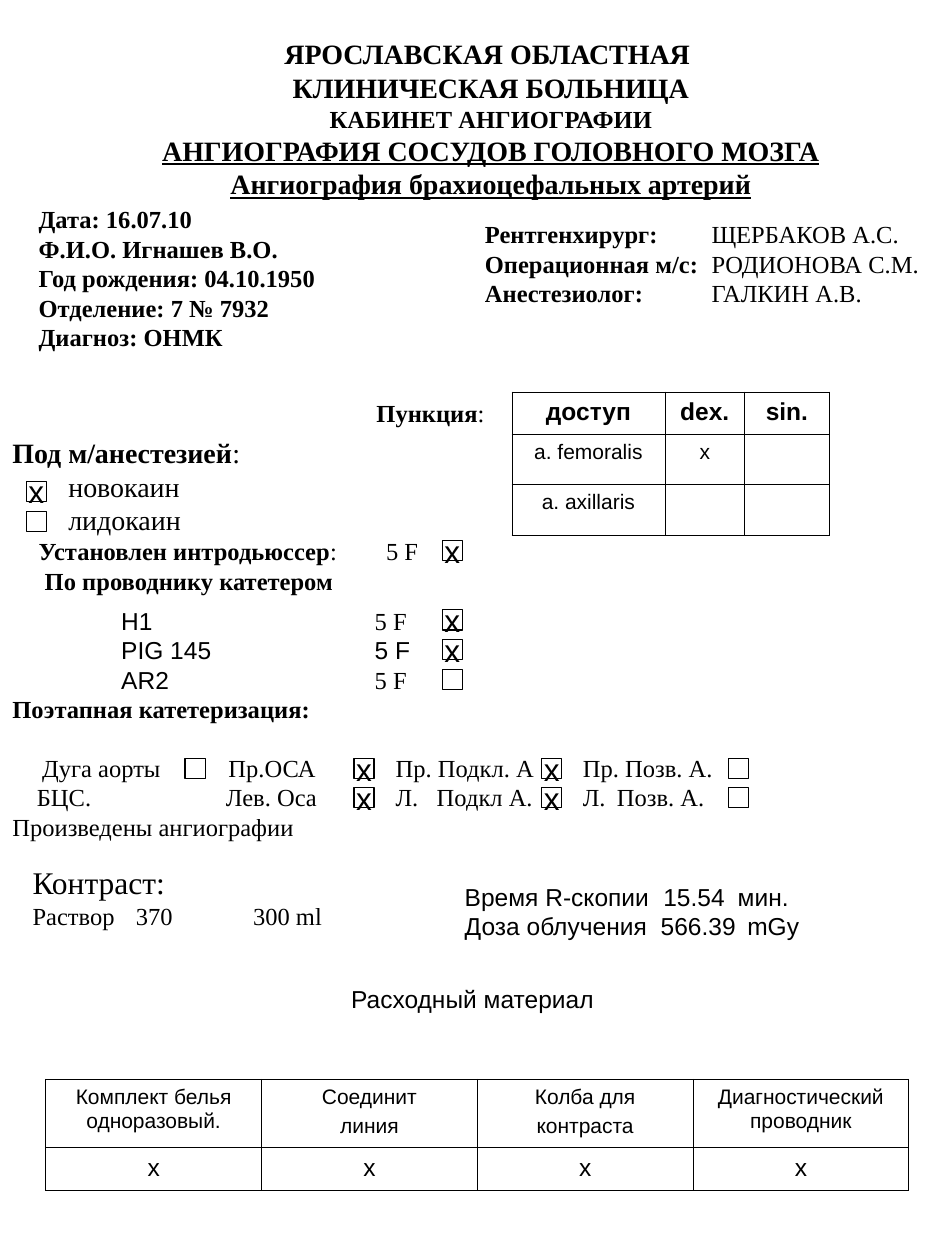
from dataclasses import dataclass

from lxml import etree
from pptx import Presentation
from pptx import util as u
from pptx.dml import color
from pptx.enum import shapes, text
from pptx.oxml import ns

Pt = u.Pt


@dataclass(frozen=True)
class Theme:
    ink: color.RGBColor = color.RGBColor(0, 0, 0)
    serif: str = "Times New Roman"
    sans: str = "Arial"
    cell: int = 12
    body: int = 14
    head: int = 16
    large: int = 18
    lead: float = 1.2
    rule: float = 0.45


T = Theme()
MID = text.MSO_ANCHOR.MIDDLE
CENTER = text.PP_ALIGN.CENTER
BOLD = {"bold": True}
SANS = {"name": T.sans}
HEAD = {"size": Pt(T.head)}


class Form:
    def __init__(self, slide):
        self.slide = slide

    def line(self, para, runs, size, tabs=(), gap=0, align=None, lead=True, **fmt):
        """Fill one paragraph; runs is a string or a list of (text, format)."""
        if tabs:
            stops = etree.SubElement(para._p.get_or_add_pPr(), ns.qn("a:tabLst"))
            for pos in tabs:
                etree.SubElement(stops, ns.qn("a:tab"), pos=str(Pt(pos)), algn="l")
        if lead:
            para.line_spacing = Pt(round(size * T.lead, 1))
        if gap:
            para.space_before = Pt(gap)
        para.alignment = align
        for words, extra in [(runs, {})] if isinstance(runs, str) else runs:
            run = para.add_run()
            run.text = words
            look = {"name": T.serif, "size": Pt(size), "bold": False, **fmt, **extra}
            for key, val in look.items():
                setattr(run.font, key, val)
            run.font.color.rgb = T.ink

    def block(self, x, y, w, h, rows, anchor=text.MSO_ANCHOR.TOP, **base):
        """Text box; each row is (runs, options)."""
        frame = self.slide.shapes.add_textbox(Pt(x), Pt(y), Pt(w), Pt(h)).text_frame
        frame.word_wrap = True
        frame.vertical_anchor = anchor
        for i, (runs, opts) in enumerate(rows):
            para = frame.add_paragraph() if i else frame.paragraphs[0]
            self.line(para, runs, **{"size": T.body, **base, **opts})

    def check(self, x, y, on):
        box = self.slide.shapes.add_shape(
            shapes.MSO_SHAPE.RECTANGLE, Pt(x), Pt(y), Pt(11.5), Pt(11.5))
        box.shadow.inherit = False
        box.fill.background()
        box.line.color.rgb = T.ink
        box.line.width = Pt(0.75)
        if on:
            frame = box.text_frame
            frame.word_wrap = False
            frame.vertical_anchor = MID
            self.line(frame.paragraphs[0], "х", T.large, align=CENTER, name=T.sans)

    def border(self, cell):
        props = cell._tc.get_or_add_tcPr()
        for i, side in enumerate(("lnL", "lnR", "lnT", "lnB")):
            edge = etree.Element(ns.qn("a:" + side), w=str(Pt(T.rule)))
            fill = etree.SubElement(edge, ns.qn("a:solidFill"))
            etree.SubElement(fill, ns.qn("a:srgbClr"), val=str(T.ink))
            props.insert(i, edge)

    def grid(self, x, y, cols, rows, data, styles):
        """Table; styles holds one text format for each row."""
        tbl = self.slide.shapes.add_table(
            len(rows), len(cols), Pt(x), Pt(y), Pt(sum(cols)), Pt(sum(rows))).table
        tbl.first_row = tbl.horz_banding = False
        for col, w in zip(tbl.columns, cols):
            col.width = Pt(w)
        for r, (h, vals) in enumerate(zip(rows, data)):
            tbl.rows[r].height = Pt(h)
            for c, val in enumerate(vals):
                cell = tbl.cell(r, c)
                cell.fill.background()
                self.border(cell)
                for i, part in enumerate(val.split("\n") if val else ()):
                    para = cell.text_frame.add_paragraph() if i else cell.text_frame.paragraphs[0]
                    self.line(para, part, gap=3 if i else 0, align=CENTER,
                              lead=False, name=T.sans, **styles[r])


def main():
    deck = Presentation()
    deck.slide_width, deck.slide_height = Pt(540), Pt(720)
    form = Form(deck.slides.add_slide(deck.slide_layouts[6]))

    # Title
    under = {**HEAD, "underline": True}
    form.block(37.5, 14.4, 486, 106.5, [
        ([("ЯРОСЛАВСКАЯ ОБЛАСТНАЯ ", {})], {"size": T.head}),
        ("КЛИНИЧЕСКАЯ БОЛЬНИЦА", {"size": T.head}),
        ("КАБИНЕТ АНГИОГРАФИИ", {}),
        ([("АНГИОГРАФИЯ СОСУДОВ ГОЛОВНОГО МОЗГА", under)], {"size": T.head}),
        ([("Ангиография брахиоцефальных артерий", under)], {"size": T.head}),
    ], anchor=MID, align=CENTER, bold=True)

    # Patient and team
    facts = ("Дата: 16.07.10", "Ф.И.О. Игнашев В.О.", "Год рождения: 04.10.1950",
             "Отделение: 7 № 7932", "Диагноз: ОНМК")
    form.block(15, 99.4, 238, 118.8, [(fact, {}) for fact in facts], anchor=MID, bold=True)
    team = (("Рентгенхирург:", "ЩЕРБАКОВ А.С."), ("Операционная м/с:", "РОДИОНОВА С.М."),
            ("Анестезиолог:", "ГАЛКИН А.В."))
    form.block(270, 121.7, 270, 57.6,
               [([(role, BOLD), ("\t" + who, {})], {"tabs": [129.5]}) for role, who in team])

    # Anaesthesia and puncture
    form.block(0, 245.4, 200, 65, [
        ([("Под м/анестезией", BOLD), (":", {})], {}),
        ("\tновокаин", {"tabs": [32]}),
        ("\tлидокаин", {"tabs": [32]}),
    ], size=T.head)
    form.block(208, 224, 84, 24, [([("Пункция", BOLD), (":", {})], {})])
    form.grid(292.5, 224, [87.5, 45.5, 48.4], [24, 28.8, 28.8],
              [["доступ", "dex.", "sin."], ["a. femoralis", "х", ""], ["a. axillaris", "", ""]],
              [{"size": T.body, "bold": True}, {"size": T.cell}, {"size": T.cell}])

    # Introducer and catheters
    form.block(15, 303, 455, 41, [
        ([("Установлен интродьюссер", BOLD), (":\t5 F", {})], {"tabs": [198.5]}),
        ([("\tПо проводнику катетером", BOLD)], {"tabs": [3.5]}),
    ])
    tubes = (("H1", {}), ("РIG 145", SANS), ("AR2", {}))
    tips = [([("\t" + tube, SANS), ("\t5 F", look)], {"tabs": [62.2, 207]})
            for tube, look in tubes]

    # Stepwise catheterization
    form.block(0, 342.7, 540, 158, tips + [
        ([("Поэтапная катетеризация:", BOLD)], {}),
        ("\tДуга аорты\tПр.ОСА\tПр. Подкл. А\tПр. Позв. А.",
         {"tabs": [17, 123.5, 219, 326], "gap": 16.8}),
        ("\tБЦС.\tЛев. Оса\tЛ.\tПодкл А.\tЛ.\tПозв. А.",
         {"tabs": [14, 122, 219, 242.5, 326, 345.5]}),
        ("Произведены ангиографии", {}),
    ])

    # Contrast, exposure and supplies
    form.block(11.5, 489.6, 250, 46, [
        ("Контраст:", {"size": T.large}),
        ("Раствор\t370\t300 ml", {"tabs": [59, 126]}),
    ])
    form.block(258.5, 500.4, 225, 41, [
        ("Время R-скопии\t15.54\tмин.", {"tabs": [113.5, 156]}),
        ("Доза облучения\t566.39\tmGy", {"tabs": [112, 161.5]}),
    ], name=T.sans)
    form.block(0, 558.7, 540, 24, [("Расходный материал", {})], align=CENTER, name=T.sans)
    form.grid(26.2, 616.7, [123.3] * 4, [38.9, 24.5],
              [["Комплект белья одноразовый.", "Соединит\nлиния", "Колба для\nконтраста",
                "Диагностический проводник"], ["х"] * 4],
              [{"size": T.cell}, {"size": T.body}])

    # Check boxes: left, top, marked
    marks = [(15, 275, True), (15, 292.3, False), (252.7, 308.9, True),
             (252.7, 348.5, True), (252.7, 365.5, True), (252.7, 382.5, False),
             (105.8, 433.4, False)]
    marks += [(x, y, on) for x, on in ((202.3, True), (309.6, True), (416.2, False))
              for y in (433.4, 450)]
    for mark in marks:
        form.check(*mark)

    deck.save("out.pptx")


if __name__ == "__main__":
    main()
